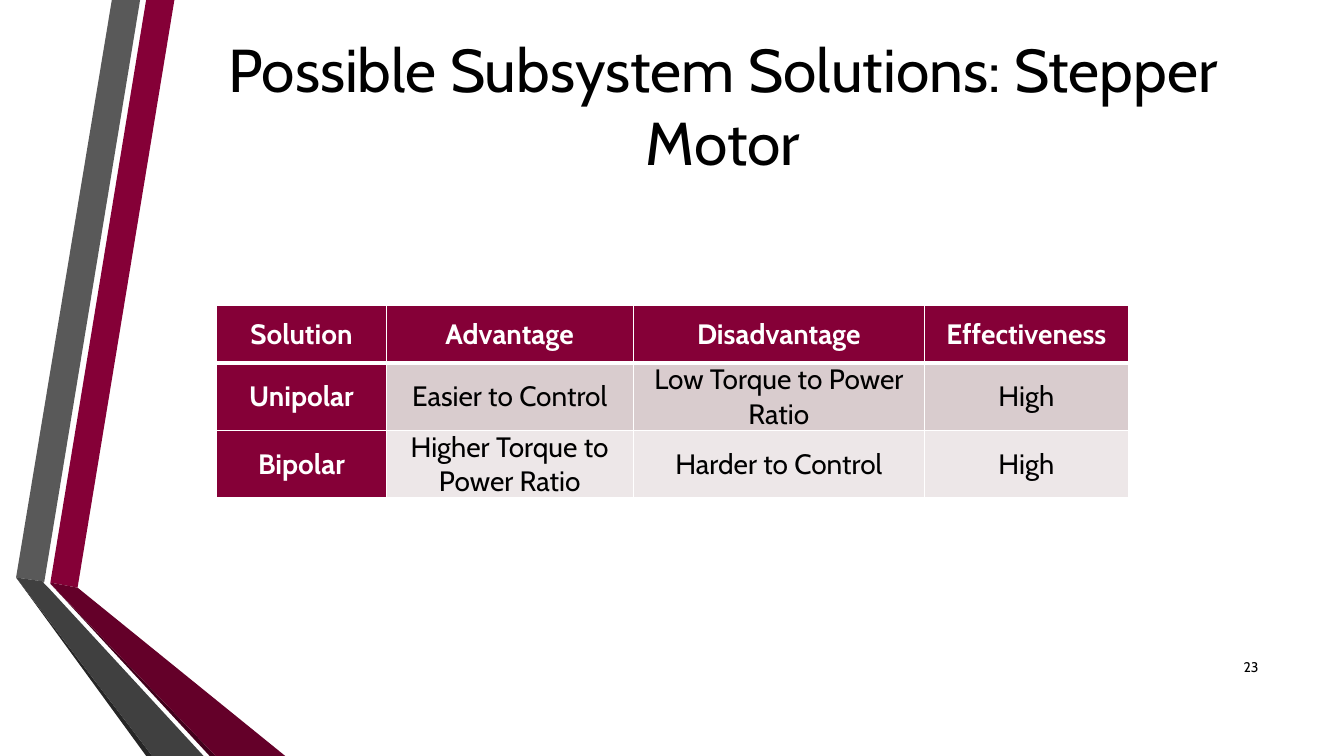
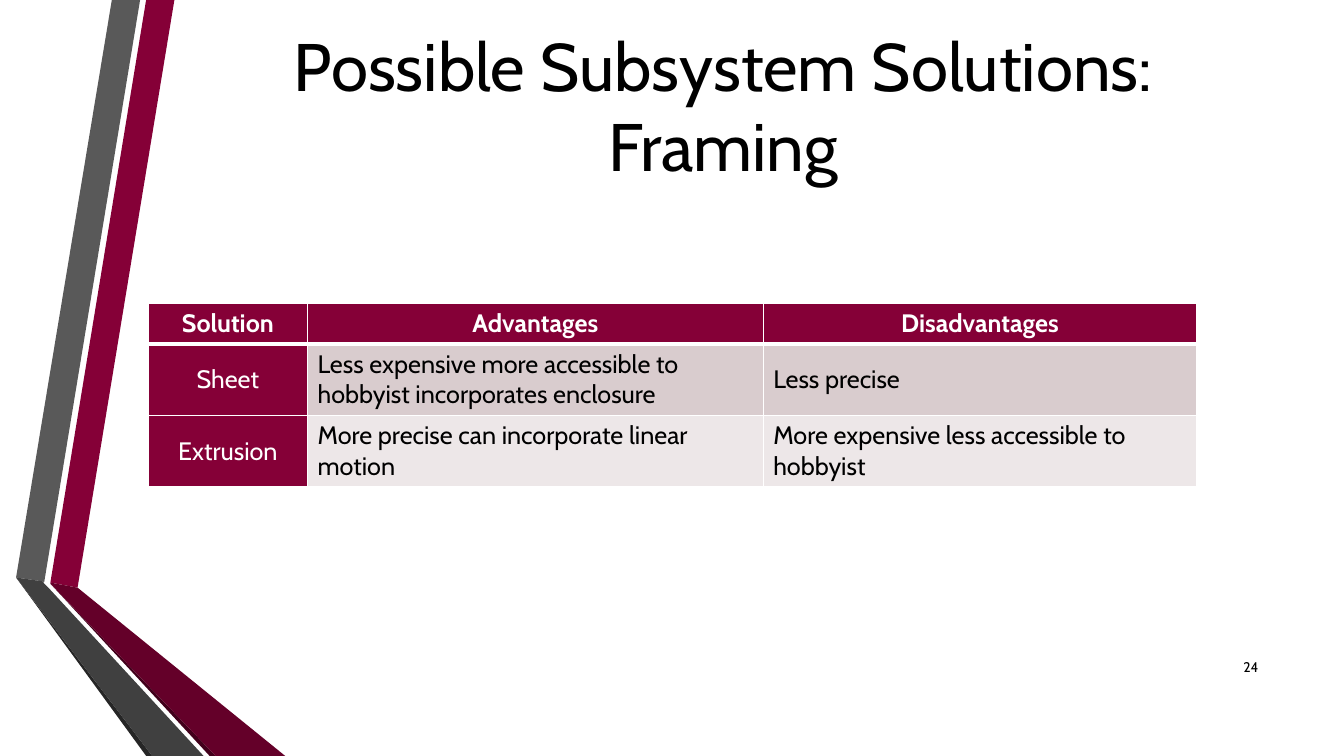
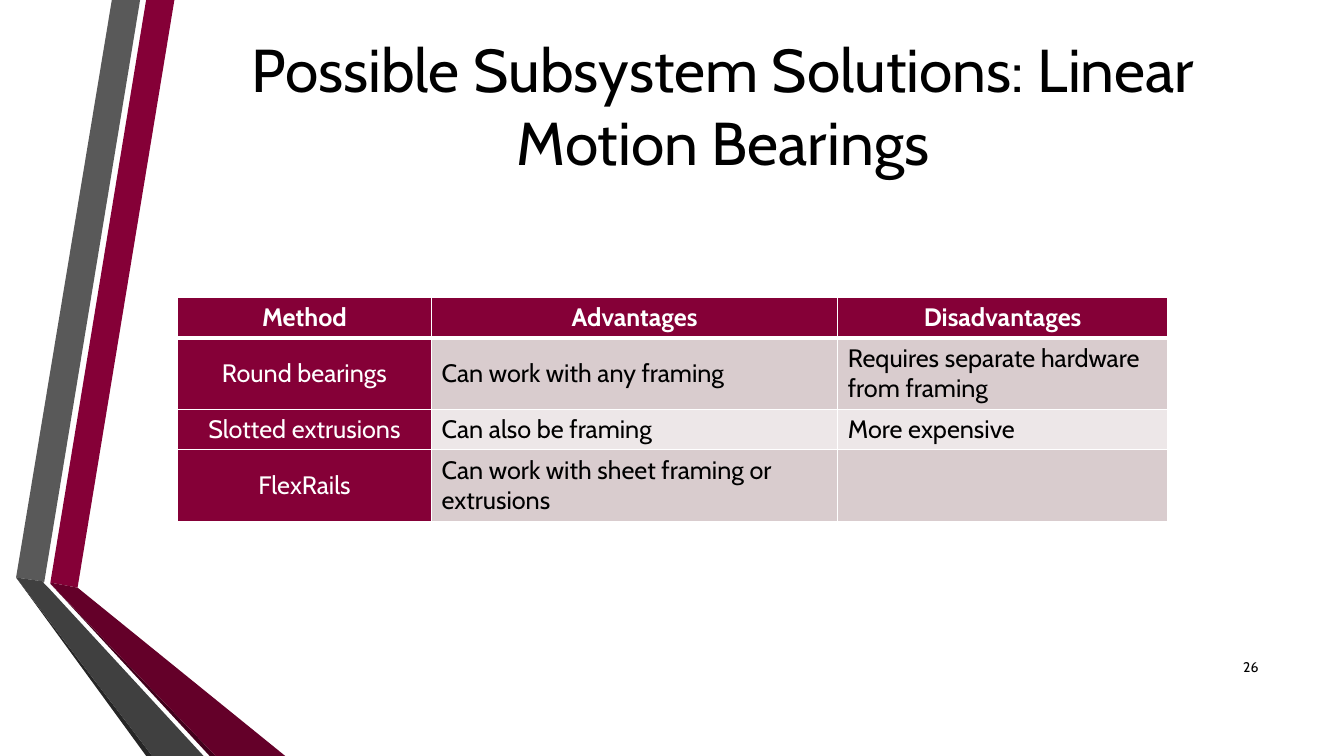
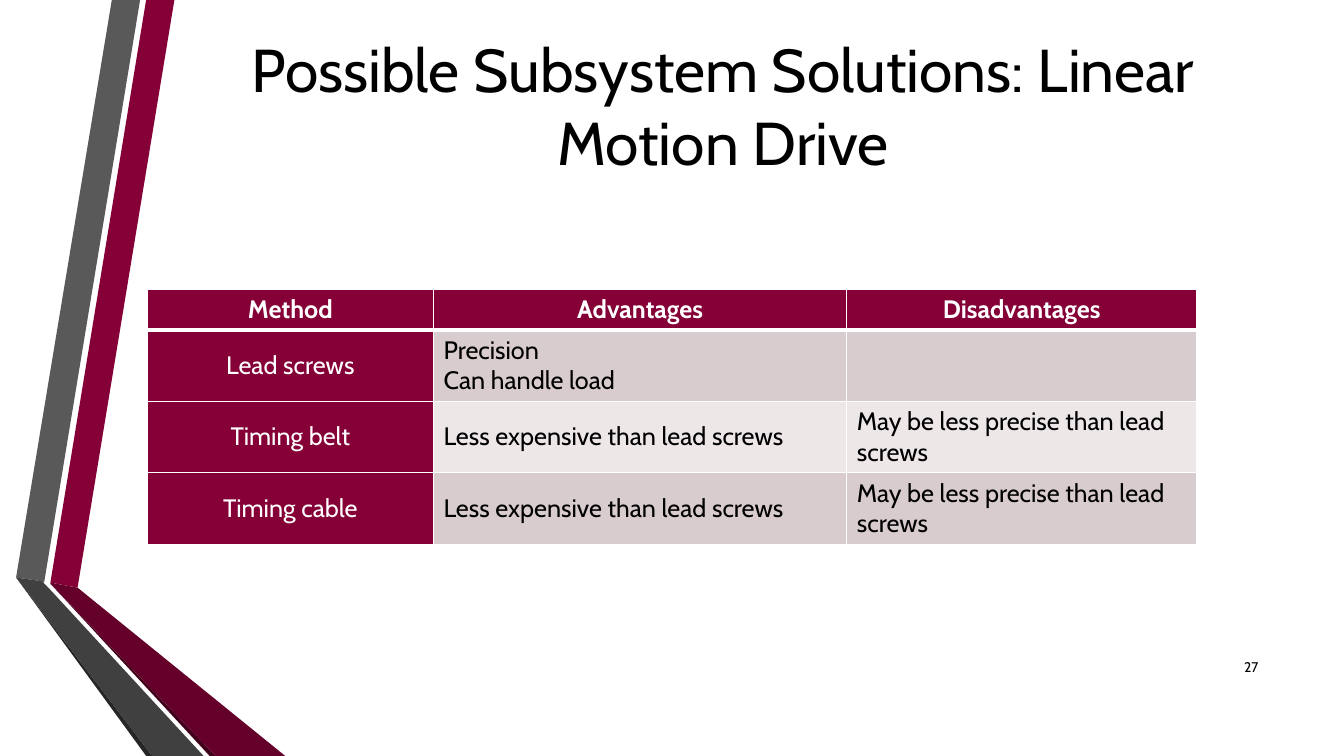
import pptx
import pptx.util
import pptx.dml.color
import pptx.enum.text
from pptx.oxml import parse_xml
from pptx.oxml.ns import nsdecls

Inches, Pt = pptx.util.Inches, pptx.util.Pt
ALIGN = pptx.enum.text.PP_ALIGN
MIDDLE = pptx.enum.text.MSO_ANCHOR.MIDDLE

# Shared style
FONT = "Cabin"
BLACK, WHITE, MAROON = "000000", "FFFFFF", "850037"
STRIPES = ("D9CCCE", "EDE7E8")
SLIDE_W, SLIDE_H = 13.33, 7.5
TITLE_BOX = (1.69, 0.46, 10.96, 1.16)
NUMBER_BOX = (11.98, 6.42, 0.6, 0.4)

# Folded ribbons: colour and outline, on a grid of 1/100 inch
RIBBONS = [
    (MAROON, [(50, 578), (77, 583), (173, 0), (145, 0)]),
    ("595959", [(139, 0), (111, 0), (16, 573), (44, 577)]),
    ("262626", [(16, 573), (145, 750), (151, 750)]),
    ("42001B", [(50, 579), (208, 750), (214, 750)]),
    ("640029", [(50, 578), (50, 579), (214, 750), (283, 750), (77, 583)]),
    ("404040", [(202, 750), (48, 583), (43, 578), (44, 577), (16, 573), (151, 750)]),
]

SLIDES = [
    dict(
        title="Possible Subsystem Solutions: Stepper Motor", title_size=43.2, number=23,
        box=(2.15, 3.03, 9.04, 1.9), cols=(1.68, 2.45, 2.89, 2.02), heights=(0.57, 0.67, 0.67),
        size=20, bold_names=True, body_align=ALIGN.CENTER, margins=(0.07, 0),
        rows=[
            ("Solution", "Advantage", "Disadvantage", "Effectiveness"),
            ("Unipolar", "Easier to Control", "Low Torque to Power Ratio", "High"),
            ("Bipolar", "Higher Torque to Power Ratio", "Harder to Control", "High"),
        ]),
    dict(
        title="Possible Subsystem Solutions: Framing", title_size=48, number=24,
        box=(1.47, 3.01, 10.4, 1.81), cols=(1.58, 4.52, 4.3), heights=(0.4, 0.71, 0.71),
        rows=[
            ("Solution", "Advantages", "Disadvantages"),
            ("Sheet", "Less expensive more accessible to hobbyist incorporates enclosure",
             "Less precise"),
            ("Extrusion", "More precise can incorporate linear motion",
             "More expensive less accessible to hobbyist"),
        ]),
    dict(
        title="Possible Subsystem Solutions: Linear Motion Bearings", title_size=43.2, number=26,
        box=(1.76, 2.95, 9.82, 2.21), cols=(2.52, 4.03, 3.27), heights=(0.4, 0.71, 0.4, 0.71),
        rows=[
            ("Method", "Advantages", "Disadvantages"),
            ("Round bearings", "Can work with any framing",
             "Requires separate hardware from framing"),
            ("Slotted extrusions", "Can also be framing", "More expensive"),
            ("FlexRails", "Can work with sheet framing or extrusions", ""),
        ]),
    dict(
        title="Possible Subsystem Solutions: Linear Motion Drive", title_size=43.2, number=27,
        box=(1.46, 2.87, 10.41, 2.51), cols=(2.84, 4.1, 3.47), heights=(0.4, 0.71, 0.71, 0.71),
        rows=[
            ("Method", "Advantages", "Disadvantages"),
            ("Lead screws", "Precision\vCan handle load", ""),
            ("Timing belt", "Less expensive than lead screws",
             "May be less precise than lead screws"),
            ("Timing cable", "Less expensive than lead screws",
             "May be less precise than lead screws"),
        ]),
]


def rgb(color):
    return pptx.dml.color.RGBColor.from_string(color)


def place(shape, box):
    shape.left, shape.top, shape.width, shape.height = map(Inches, box)


def write(tf, text, size, color=BLACK, align=ALIGN.LEFT, bold=False):
    tf.text = text
    p = tf.paragraphs[0]
    p.alignment = align
    p.font.name, p.font.size, p.font.bold = FONT, Pt(size), bold
    p.font.color.rgb = rgb(color)


def add_ribbons(s, layout):
    """Draw the ribbons as a group and move it to the back of the layout."""
    group = s.shapes.add_group_shape()
    for color, points in RIBBONS:
        outline = group.shapes.build_freeform(*points[0], scale=Inches(0.01))
        outline.add_line_segments(points[1:], close=True)
        ribbon = outline.convert_to_shape()
        ribbon.shadow.inherit = False
        ribbon.fill.solid()
        ribbon.fill.fore_color.rgb = rgb(color)
        ribbon.line.fill.background()
    layout.element.cSld.spTree.insert(2, group.element)


def add_title(s, text, size):
    tf = s.shapes.title.text_frame
    tf.auto_size = pptx.enum.text.MSO_AUTO_SIZE.NONE
    tf.vertical_anchor = MIDDLE
    write(tf, text, size, align=ALIGN.CENTER)


def add_number(s, number, box):
    tf = s.shapes.add_textbox(*map(Inches, box)).text_frame
    tf.word_wrap = True
    tf.vertical_anchor = MIDDLE
    write(tf, str(number), 10, align=ALIGN.RIGHT)


def set_borders(cell, top, bottom):
    tcPr = cell._tc.get_or_add_tcPr()
    for side, width in (("L", 1), ("R", 1), ("T", top), ("B", bottom)):
        tcPr.append(parse_xml(
            f'<a:ln{side} {nsdecls("a")} w="{Pt(width)}"><a:solidFill>'
            f'<a:srgbClr val="{WHITE}"/></a:solidFill></a:ln{side}>'))


def add_comparison(s, box, rows, cols, heights, size=18, bold_names=False,
                   body_align=ALIGN.LEFT, margins=(0.1, 0.05)):
    """Table with a maroon header row and name column, and striped body rows."""
    table = s.shapes.add_table(len(rows), len(cols), *map(Inches, box)).table
    table.first_col = True
    for column, share in zip(table.columns, cols):
        column.width = Inches(box[2] * share / sum(cols))
    for row, height in zip(table.rows, heights):
        row.height = Inches(height)
    for i, row in enumerate(rows):
        for j, text in enumerate(row):
            cell = table.cell(i, j)
            header, label = i == 0, i == 0 or j == 0
            set_borders(cell, top=3 if i == 1 else 1, bottom=3 if header else 1)
            cell.fill.solid()
            cell.fill.fore_color.rgb = rgb(MAROON if label else STRIPES[(i - 1) % 2])
            cell.vertical_anchor = MIDDLE
            cell.margin_left = cell.margin_right = Inches(margins[0])
            cell.margin_top = cell.margin_bottom = Inches(margins[1])
            write(cell.text_frame, text, size, WHITE if label else BLACK,
                  ALIGN.CENTER if label else body_align,
                  header or (label and bold_names))


def add_comparison_slide(prs, layout, title, title_size, number, **table):
    s = prs.slides.add_slide(layout)
    add_title(s, title, title_size)
    add_number(s, number, NUMBER_BOX)
    add_comparison(s, **table)
    return s


def main():
    prs = pptx.Presentation()
    prs.slide_width, prs.slide_height = Inches(SLIDE_W), Inches(SLIDE_H)
    layout = prs.slide_layouts.get_by_name("Title Only")
    place(layout.placeholders[0], TITLE_BOX)
    slides = [add_comparison_slide(prs, layout, **content) for content in SLIDES]
    add_ribbons(slides[0], layout)
    prs.save("out.pptx")


if __name__ == "__main__":
    main()
